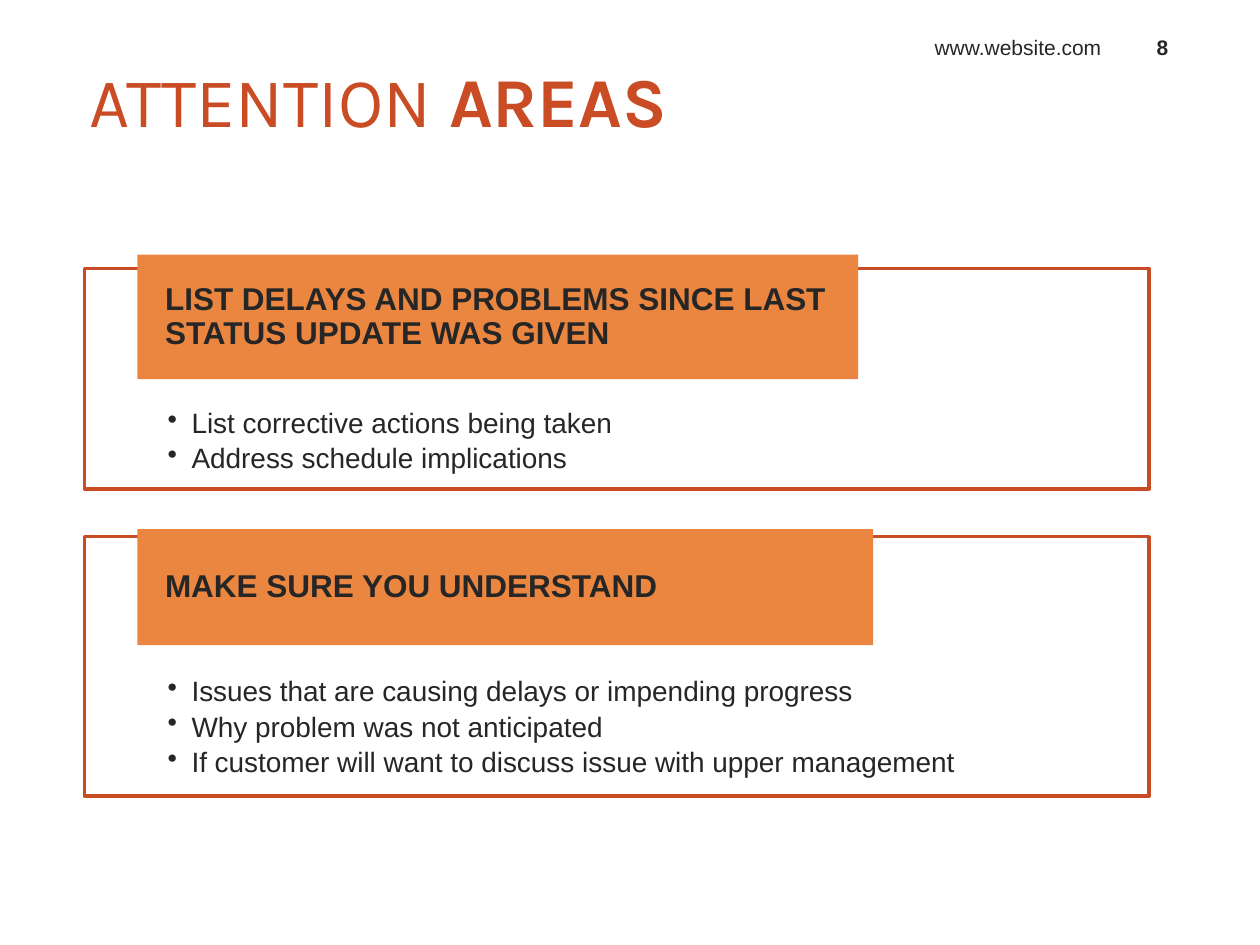
import pptx
import pptx.util
import pptx.dml.color
import pptx.enum.shapes
import pptx.enum.text
import pptx.oxml
import pptx.oxml.ns

Pt = pptx.util.Pt
ALIGN = pptx.enum.text.PP_ALIGN
ANCHOR = pptx.enum.text.MSO_ANCHOR
COLORS = {"accent": "C94C25", "header": "EA8640", "text": "262626"}

PANELS = [
    {
        "box": (48.24, 153.36, 608.4, 126),
        "header_box": (30.24, -7.92, 411.84, 71.28),
        "header": "LIST DELAYS AND PROBLEMS SINCE LAST STATUS UPDATE WAS GIVEN",
        "bullets": ["List corrective actions being taken",
                    "Address schedule implications"],
    },
    {
        "box": (48.24, 306.72, 608.4, 148.32),
        "header_box": (30.24, -4.32, 420.48, 66.24),
        "header": "MAKE SURE YOU UNDERSTAND",
        "bullets": ["Issues that are causing delays or impending progress",
                    "Why problem was not anticipated",
                    "If customer will want to discuss issue with upper management"],
    },
]


def rgb(name):
    return pptx.dml.color.RGBColor.from_string(COLORS[name])


def set_all(target, values):
    for name, value in values.items():
        setattr(target, name, value)


def set_frame(frame, anchor, insets):
    """Wrap the text and set its anchor and left, top, right, bottom insets."""
    left, top, right, bottom = map(Pt, insets)
    set_all(frame, {"word_wrap": True, "vertical_anchor": anchor,
                    "margin_left": left, "margin_top": top,
                    "margin_right": right, "margin_bottom": bottom})


def add_span(para, text, size, color="text", bold=False, font="Arial"):
    span = para.add_run()
    span.text = text
    set_all(span.font, {"size": Pt(size), "bold": bold, "name": font})
    span.font.color.rgb = rgb(color)


def add_rectangle(page, box):
    shape = page.shapes.add_shape(
        pptx.enum.shapes.MSO_SHAPE.RECTANGLE, *map(Pt, box))
    shape.shadow.inherit = False
    return shape


def add_bullet(para, indent):
    properties = para._p.get_or_add_pPr()
    properties.set("marL", str(Pt(indent)))
    properties.set("indent", str(-Pt(indent)))
    bullet = pptx.oxml.parse_xml(
        f'<a:buChar {pptx.oxml.ns.nsdecls("a")} char="•"/>')
    properties.append(bullet)


def add_title(page, box):
    frame = page.shapes.add_textbox(*map(Pt, box)).text_frame
    set_frame(frame, ANCHOR.MIDDLE, (14.4, 3.6, 0, 3.6))
    para = frame.paragraphs[0]
    add_span(para, "ATTENTION", 40, "accent", font="Karla")
    add_span(para, " AREAS", 40, "accent", bold=True, font="Karla")


def add_page_label(page, box, text, align, bold=False):
    frame = page.shapes.add_textbox(*map(Pt, box)).text_frame
    set_frame(frame, ANCHOR.BOTTOM, (7.2, 3.6, 7.2, 3.6))
    para = frame.paragraphs[0]
    para.alignment = align
    add_span(para, text, 12, bold=bold)


def add_panel(page, box, header_box, header, bullets):
    """Draw an outlined bullet list; header_box is relative to box."""
    outline = add_rectangle(page, box)
    outline.fill.background()
    outline.line.color.rgb = rgb("accent")
    outline.line.width = Pt(2)
    frame = outline.text_frame
    set_frame(frame, ANCHOR.TOP, (47.5, 80.64, 47.5, 8.64))
    for index, text in enumerate(bullets):
        para = frame.add_paragraph() if index else frame.paragraphs[0]
        set_all(para, {"alignment": ALIGN.LEFT, "line_spacing": 0.9,
                       "space_after": Pt(2.8), "level": 1})
        add_bullet(para, 13.68)
        add_span(para, text, 16)

    left, top, width, height = header_box
    band = add_rectangle(page, (box[0] + left, box[1] + top, width, height))
    band.fill.solid()
    band.fill.fore_color.rgb = rgb("header")
    band.line.fill.background()
    set_frame(band.text_frame, ANCHOR.MIDDLE, (15.84, 0, 15.84, 0))
    para = band.text_frame.paragraphs[0]
    set_all(para, {"alignment": ALIGN.LEFT, "line_spacing": 0.9})
    add_span(para, header, 18, bold=True)


def main():
    deck = pptx.Presentation()
    set_all(deck, {"slide_width": Pt(720), "slide_height": Pt(540)})
    page = deck.slides.add_slide(deck.slide_layouts[6])
    add_title(page, (36.72, 30.24, 365.04, 53.28))
    add_page_label(page, (462.24, 13.68, 174.24, 23.76),
                   "www.website.com", ALIGN.RIGHT)
    add_page_label(page, (644.4, 13.68, 39.6, 23.76), "8", ALIGN.CENTER, bold=True)
    for panel in PANELS:
        add_panel(page, **panel)
    deck.save("out.pptx")


if __name__ == "__main__":
    main()
